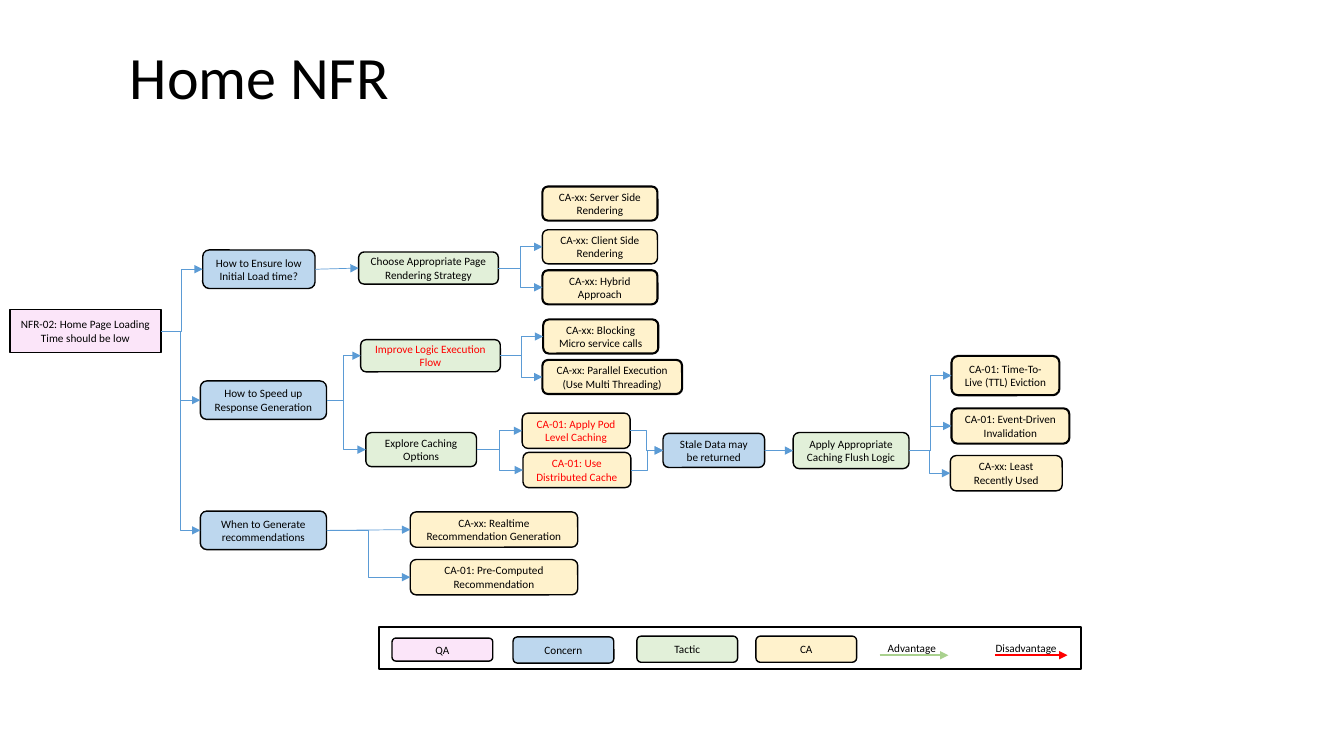
from pptx import Presentation
from pptx.dml.color import RGBColor
from pptx.enum.shapes import MSO_CONNECTOR, MSO_SHAPE
from pptx.enum.text import MSO_ANCHOR, MSO_AUTO_SIZE, PP_ALIGN
from pptx.oxml.ns import qn
from pptx.util import Cm, Pt
from lxml.etree import SubElement

KIND_FILLS = {"qa": "FBE5F9", "concern": "BDD7EE", "tactic": "E2F0D9", "ca": "FFF2CC"}
BLACK, RED, BLUE, GREEN = "000000", "FF0000", "5B9BD5", "A9D18E"
LEFT_SIDE, RIGHT_SIDE = 1, 3

# key: (kind, text, left, top, width, height, options)
NODES = {
    "root": ("qa", "NFR-02: Home Page Loading Time should be low", 0.25, 7.8, 3.81, 1.09,
             {"outline": MSO_SHAPE.RECTANGLE}),
    "load": ("concern", "How to Ensure low Initial Load time?", 5.11, 6.3, 2.83, 0.97, {}),
    "speed": ("concern", "How to Speed up Response Generation", 5.05, 9.6, 3.18, 0.97, {}),
    "when": ("concern", "When to Generate recommendations", 5.05, 12.88, 3.18, 0.97, {}),
    "strategy": ("tactic", "Choose Appropriate Page Rendering Strategy", 9.04, 6.35, 3.52, 0.81, {}),
    "logic": ("tactic", "Improve Logic Execution Flow", 9.09, 8.56, 3.52, 0.81, {"color": RED}),
    "caching": ("tactic", "Explore Caching Options", 9.22, 10.9, 2.79, 0.86, {}),
    "server": ("ca", "CA-xx: Server Side Rendering", 13.67, 4.7, 2.9, 0.86, {"weight": 1.5}),
    "client": ("ca", "CA-xx: Client Side Rendering", 13.67, 5.79, 2.9, 0.86, {}),
    "hybrid": ("ca", "CA-xx: Hybrid Approach", 13.67, 6.81, 2.9, 0.86, {"weight": 1.5}),
    "blocking": ("ca", "CA-xx: Blocking Micro service calls", 13.69, 8.05, 2.9, 0.86, {"weight": 1.5}),
    "parallel": ("ca", "CA-xx: Parallel Execution (Use Multi Threading)", 13.67, 9.07, 3.52, 0.86,
                 {"weight": 1.5}),
    "pod": ("ca", "CA-01: Apply Pod Level Caching", 13.16, 10.41, 2.72, 0.89, {"color": RED}),
    "distributed": ("ca", "CA-01: Use Distributed Cache", 13.18, 11.4, 2.72, 0.89, {"color": RED}),
    "realtime": ("ca", "CA-xx: Realtime Recommendation Generation", 10.34, 12.9, 4.22, 0.89, {}),
    "precomputed": ("ca", "CA-01: Pre-Computed Recommendation", 10.34, 14.1, 4.22, 0.89, {}),
    "stale": ("concern", "Stale Data may be returned", 16.71, 10.92, 2.56, 0.86, {}),
    "flush": ("tactic", "Apply Appropriate Caching Flush Logic", 19.99, 10.9, 2.92, 0.91, {}),
    "ttl": ("ca", "CA-01: Time-To-Live (TTL) Eviction", 23.98, 8.97, 2.72, 0.99, {"weight": 1.5}),
    "event": ("ca", "CA-01: Event-Driven Invalidation", 23.98, 10.29, 2.97, 0.89, {"weight": 1.5}),
    "lru": ("ca", "CA-xx: Least Recently Used", 23.95, 11.48, 2.82, 0.89, {}),
}
BRANCHES = {
    "root": ["load", "speed", "when"],
    "speed": ["logic", "caching"],
    "when": ["precomputed"],
    "strategy": ["client", "hybrid"],
    "logic": ["blocking", "parallel"],
    "caching": ["pod", "distributed"],
    "pod": ["stale"],
    "distributed": ["stale"],
    "flush": ["ttl", "event", "lru"],
}
BENDS = {("root", "load"): 0.48, ("speed", "caching"): 0.43}
STRAIGHT_STEPS = [("load", "strategy"), ("when", "realtime"), ("stale", "flush")]
LEGEND_KINDS = [
    ("qa", "QA", 9.88, 16.08, 0.58),
    ("concern", "Concern", 12.93, 16.05, 0.66),
    ("tactic", "Tactic", 16.05, 16.03, 0.66),
    ("ca", "CA", 19.05, 16.03, 0.66),
]
LEGEND_ARROWS = [
    ("Advantage", GREEN, 22.17, 23.9, 22.12, 1.85),
    ("Disadvantage", RED, 25.07, 26.9, 24.84, 2.44),
]


def rgb(code):
    return RGBColor.from_string(code)


def apply(target, values):
    for name, value in values.items():
        setattr(target, name, value)


class NfrSlide:
    """Current slide together with its text and line style."""

    font = {"name": "Calibri", "size": Pt(8)}

    def __init__(self, slide):
        self.slide = slide
        self.shapes = slide.shapes

    def set_text(self, frame, text, color=BLACK, align=PP_ALIGN.LEFT, **font):
        frame.text = text
        paragraph = frame.paragraphs[0]
        paragraph.alignment = align
        run_font = paragraph.runs[0].font
        apply(run_font, {**self.font, **font})
        run_font.color.rgb = rgb(color)

    def title(self, text, left, top, width, height):
        title = self.shapes.title
        apply(title, {"left": Cm(left), "top": Cm(top), "width": Cm(width), "height": Cm(height)})
        apply(title.text_frame, {"vertical_anchor": MSO_ANCHOR.TOP, "word_wrap": True,
                                 "auto_size": MSO_AUTO_SIZE.NONE})
        self.set_text(title.text_frame, text, size=Pt(42.9))
        title.text_frame.paragraphs[0].line_spacing = 0.9

    def box(self, left, top, width, height, fill=None, text="", color=BLACK, weight=1,
            outline=MSO_SHAPE.ROUNDED_RECTANGLE):
        box = self.shapes.add_shape(outline, Cm(left), Cm(top), Cm(width), Cm(height))
        box.shadow.inherit = False
        box.line.color.rgb = rgb(BLACK)
        box.line.width = Pt(weight)
        if fill:
            box.fill.solid()
            box.fill.fore_color.rgb = rgb(fill)
        else:
            box.fill.background()
        if text:
            apply(box.text_frame, {"word_wrap": True, "vertical_anchor": MSO_ANCHOR.MIDDLE})
            self.set_text(box.text_frame, text, color, PP_ALIGN.CENTER)
        return box

    def label(self, text, left, top, width, height):
        label = self.shapes.add_textbox(Cm(left), Cm(top), Cm(width), Cm(height))
        apply(label.text_frame, {"word_wrap": True, "auto_size": MSO_AUTO_SIZE.SHAPE_TO_FIT_TEXT})
        self.set_text(label.text_frame, text)

    def arrow(self, start=(0, 0), end=(0, 0), color=BLUE, weight=0.5, route=MSO_CONNECTOR.STRAIGHT):
        arrow = self.shapes.add_connector(route, *map(Cm, start + end))
        arrow.line.color.rgb = rgb(color)
        arrow.line.width = Pt(weight)
        properties = arrow.element.spPr
        SubElement(properties.find(qn("a:ln")), qn("a:tailEnd"), type="triangle")
        SubElement(properties, qn("a:effectLst"))
        return arrow

    def join(self, source, target, route=MSO_CONNECTOR.STRAIGHT, bend=None):
        """Lead an arrow from the right side of source to the left side of target."""
        arrow = self.arrow(route=route)
        arrow.begin_connect(source, RIGHT_SIDE)
        arrow.end_connect(target, LEFT_SIDE)
        if bend:
            adjustments = arrow.element.spPr.find(f"{qn('a:prstGeom')}/{qn('a:avLst')}")
            SubElement(adjustments, qn("a:gd"), name="adj1", fmla=f"val {round(bend * 100000)}")


def main():
    presentation = Presentation()
    apply(presentation, {"slide_width": Cm(33.87), "slide_height": Cm(19.05)})
    nfr = NfrSlide(presentation.slides.add_slide(presentation.slide_layouts[5]))
    nfr.title("Home NFR", 3.02, 1.07, 25.4, 2.11)

    nodes = {
        key: nfr.box(left, top, width, height, KIND_FILLS[kind], text, **options)
        for key, (kind, text, left, top, width, height, options) in NODES.items()
    }
    for source, targets in BRANCHES.items():
        for target in targets:
            nfr.join(nodes[source], nodes[target], MSO_CONNECTOR.ELBOW, BENDS.get((source, target)))
    for source, target in STRAIGHT_STEPS:
        nfr.join(nodes[source], nodes[target])

    nfr.box(9.55, 15.8, 17.7, 1.07, weight=1.5, outline=MSO_SHAPE.RECTANGLE)
    for kind, text, left, top, height in LEGEND_KINDS:
        nfr.box(left, top, 2.54, height, KIND_FILLS[kind], text)
    for text, color, start, end, left, width in LEGEND_ARROWS:
        nfr.arrow((start, 16.51), (end, 16.51), color, 1.25)
        nfr.label(text, left, 16.03, width, 0.61)

    presentation.save("out.pptx")


if __name__ == "__main__":
    main()
